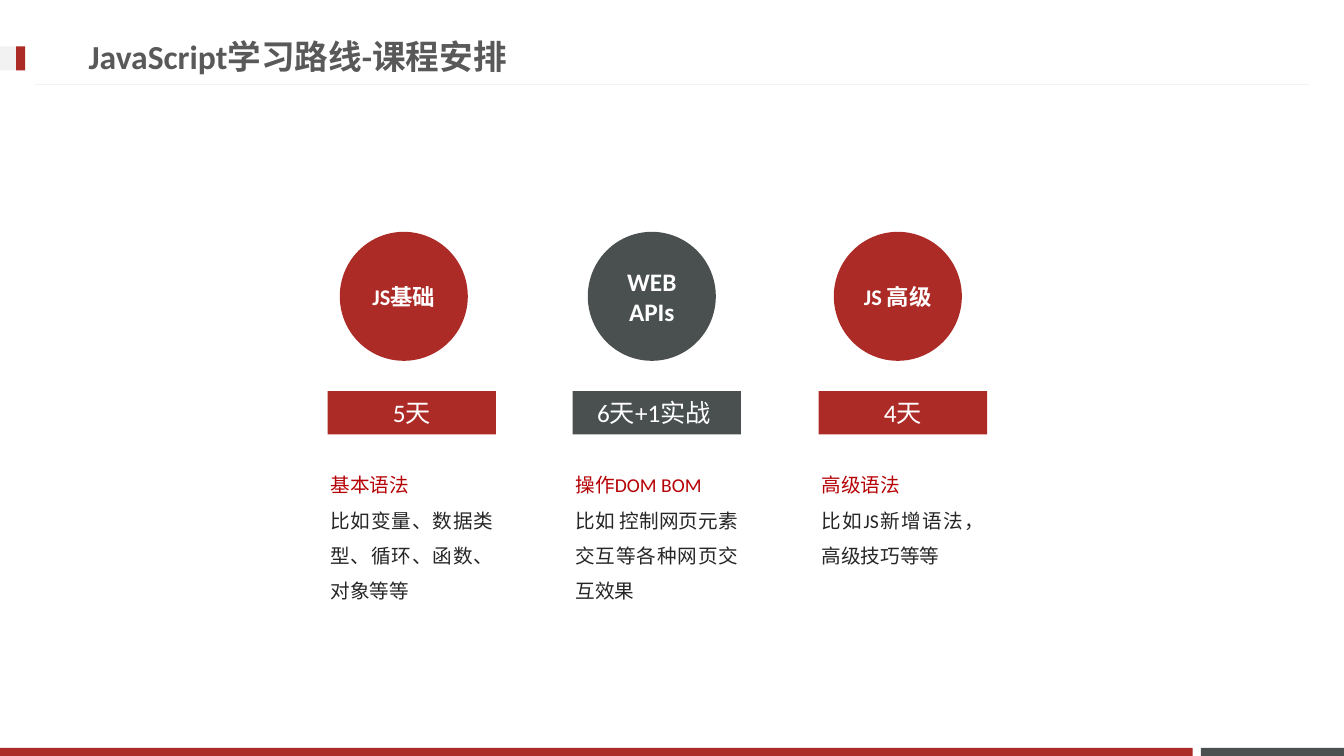
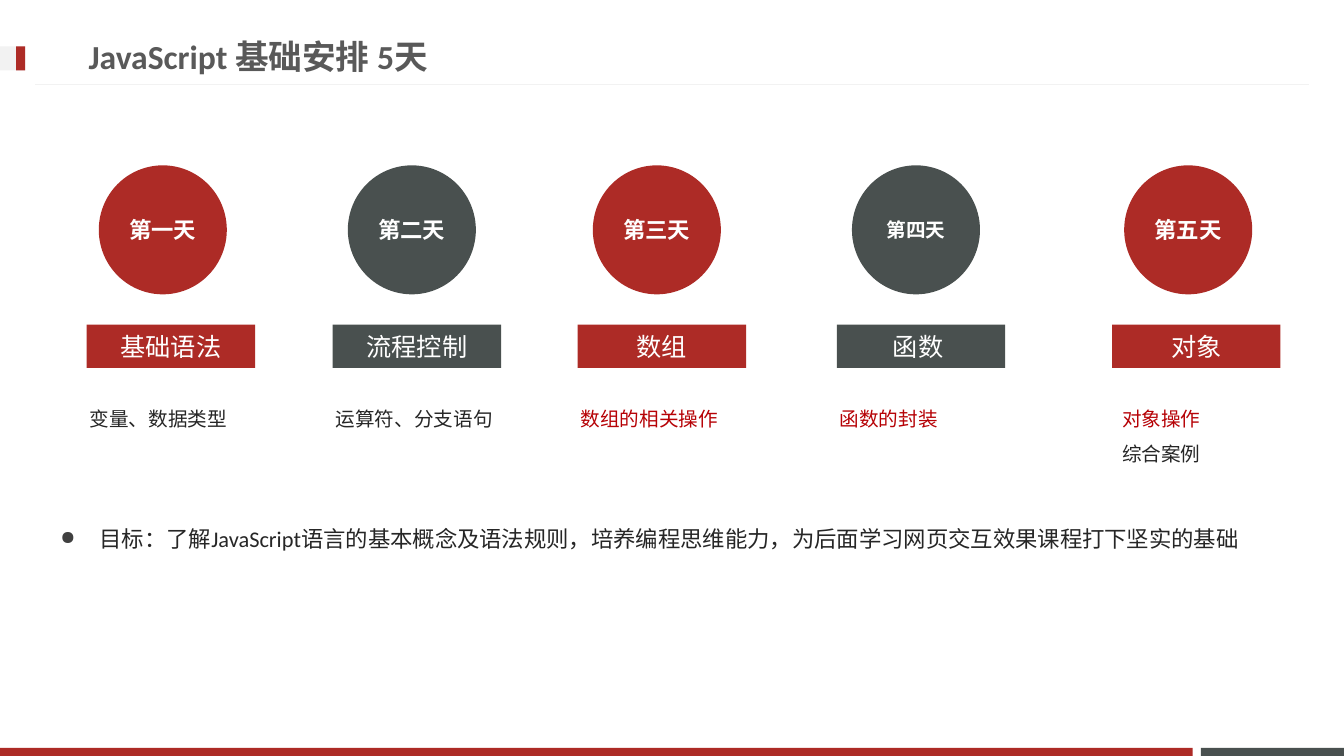
from dataclasses import dataclass
from lxml.etree import SubElement
from pptx import Presentation
from pptx.dml.color import RGBColor
from pptx.enum.shapes import MSO_CONNECTOR, MSO_SHAPE
from pptx.enum.text import MSO_ANCHOR, PP_ALIGN
from pptx.oxml.ns import qn
from pptx.util import Inches, Pt


@dataclass(frozen=True)
class Theme:
    font: str = "Calibri"
    red: str = "AD2B26"
    slate: str = "49504F"
    pale: str = "F2F2F2"
    white: str = "FFFFFF"
    heading: str = "595959"
    accent: str = "B60206"
    ink: str = "262626"
    bullet: str = "404040"
    title_size: int = 24
    band_size: int = 18
    goal_size: int = 16
    detail_size: int = 14


theme = Theme()


def add_block(slide, preset, box, fill=None):
    """Add a filled preset shape, or a text box when preset is None."""
    place = [Inches(value) for value in box]
    if preset is None:
        block = slide.shapes.add_textbox(*place)
    else:
        block = slide.shapes.add_shape(preset, *place)
        block.shadow.inherit = False
        block.fill.solid()
        block.fill.fore_color.rgb = RGBColor.from_string(fill)
        block.line.fill.background()
        block.text_frame.vertical_anchor = MSO_ANCHOR.MIDDLE
    block.text_frame.word_wrap = True
    return block


def write(paragraph, text, size, color, bold=False, align=PP_ALIGN.LEFT):
    paragraph.alignment = align
    run = paragraph.add_run()
    run.text = text
    run.font.name = theme.font
    run.font.size = Pt(size)
    run.font.bold = bold
    run.font.color.rgb = RGBColor.from_string(color)


# Content: band left, circle offset, circle label, label size, band label, details
stages = [
    (3.25, 0.12, "JS基础", 16, "5天",
     [("基本语法", theme.accent), ("比如变量、数据类型、循环、函数、对象等等", theme.ink)]),
    (5.68, 0.15, "WEB APIs", 18, "6天+1实战 ",
     [("操作DOM BOM", theme.accent), ("比如 控制网页元素交互等各种网页交互效果", theme.ink)]),
    (8.12, 0.15, "JS 高级", 16, "4天",
     [("高级语法", theme.accent), ("比如JS新增语法，高级技巧等等", theme.ink)]),
]
days = [
    (0.86, 0.12, "第一天", 16, "基础语法", [("变量、数据类型", theme.ink)]),
    (3.3, 0.15, "第二天", 16, "流程控制", [("运算符、分支语句", theme.ink)]),
    (5.73, 0.15, "第三天", 16, "数组", [("数组的相关操作", theme.accent)]),
    (8.3, 0.15, "第四天", 14, "函数 ", [("函数的封装", theme.accent)]),
    (11.03, 0.12, "第五天", 16, "对象",
     [("对象操作", theme.accent), ("综合案例", theme.ink)]),
]
goal = "目标：了解JavaScript语言的基本概念及语法规则，培养编程思维能力，为后面学习网页交互效果课程打下坚实的基础"
lessons = [
    ("JavaScript学习路线-课程安排", 2.3, stages, None),
    ("JavaScript 基础安排 5天", 1.64, days, goal),
]
frame_bars = [
    ((11.91, 7.42, 1.42, 0.08), theme.slate),
    ((0, 7.42, 11.83, 0.08), theme.red),
    ((0, 0.46, 0.25, 0.24), theme.pale),
    ((0.16, 0.46, 0.09, 0.24), theme.red),
]

deck = Presentation()
deck.slide_width, deck.slide_height = Inches(13.33), Inches(7.5)

for heading, top, columns, aim in lessons:
    slide = deck.slides.add_slide(deck.slide_layouts[6])

    # Shared frame: footer bars, title marker, rule
    for box, color in frame_bars:
        add_block(slide, MSO_SHAPE.RECTANGLE, box, color)
    rule = slide.shapes.add_connector(
        MSO_CONNECTOR.STRAIGHT, Inches(12.98), Inches(0.84), Inches(0.35), Inches(0.84))
    rule.line.color.rgb = RGBColor.from_string(theme.pale)
    rule.line.width = Pt(0.75)
    SubElement(rule.line._get_or_add_ln().getparent(), qn("a:effectLst"))

    # Title
    title = add_block(slide, None, (0.78, 0.27, 9.59, 0.57)).text_frame
    title.vertical_anchor = MSO_ANCHOR.MIDDLE
    write(title.paragraphs[0], heading, theme.title_size, theme.heading, bold=True)

    # Columns: circle, band and details in alternating colours
    for index, (left, offset, label, label_size, topic, details) in enumerate(columns):
        color = theme.slate if index % 2 else theme.red
        circle = add_block(slide, MSO_SHAPE.OVAL, (left + offset, top, 1.27, 1.28), color)
        write(circle.text_frame.paragraphs[0], label, label_size, theme.white,
              bold=True, align=PP_ALIGN.CENTER)

        band = add_block(slide, MSO_SHAPE.RECTANGLE, (left, top + 1.58, 1.67, 0.43), color)
        band.text_frame.margin_left = band.text_frame.margin_right = 0
        write(band.text_frame.paragraphs[0], topic, theme.band_size, theme.white,
              align=PP_ALIGN.CENTER)

        detail_left = min(left - 0.07, 11.03) if left < 11 else left
        notes = add_block(slide, None, (detail_left, top + 2.23, 1.81,
                                        0.45 if len(details) == 1 else 1.51)).text_frame
        for row, (line, line_color) in enumerate(details):
            paragraph = notes.add_paragraph() if row else notes.paragraphs[0]
            paragraph.line_spacing = 1.5
            write(paragraph, line, theme.detail_size, line_color, align=PP_ALIGN.JUSTIFY)

    # Course goal
    if aim:
        target = add_block(slide, None, (0.5, 5.03, 12.2, 1.49)).text_frame.paragraphs[0]
        target.line_spacing = 1.5
        target.space_before = Pt(3)
        write(target, aim, theme.goal_size, theme.ink)
        properties = target._p.get_or_add_pPr()
        properties.set("marL", str(Inches(0.39)))
        properties.set("indent", str(Inches(-0.39)))
        bullet_color = SubElement(properties, qn("a:buClr"))
        SubElement(bullet_color, qn("a:srgbClr"), val=theme.bullet)
        SubElement(properties, qn("a:buSzPct"), val="85000")
        SubElement(properties, qn("a:buChar"), char="●")

deck.save("out.pptx")
